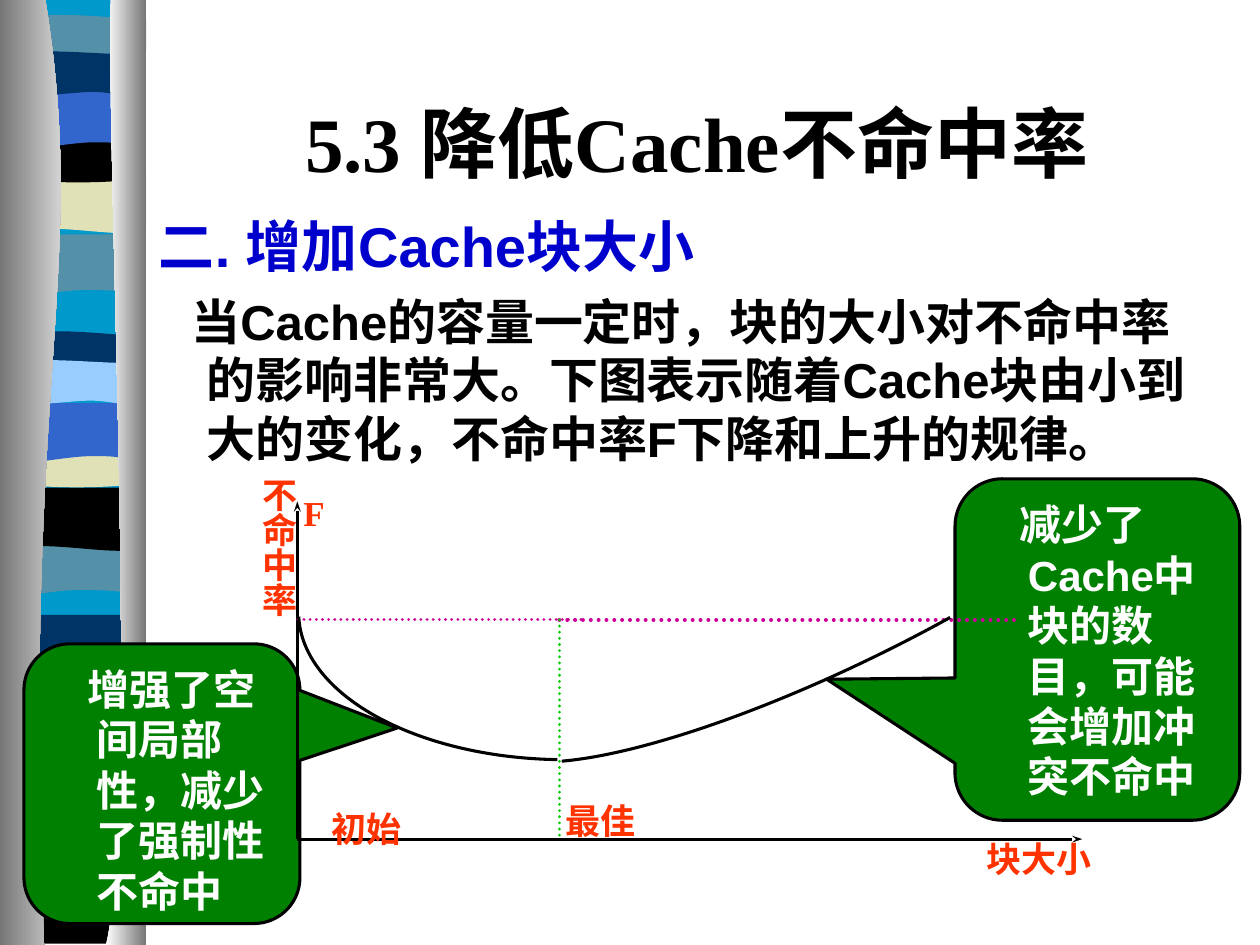
from dataclasses import dataclass
from typing import Optional

from lxml.etree import SubElement
from pptx import Presentation
from pptx.dml.color import RGBColor
from pptx.enum.dml import MSO_LINE
from pptx.enum.shapes import MSO_CONNECTOR, MSO_SHAPE
from pptx.enum.text import MSO_ANCHOR, MSO_AUTO_SIZE, PP_ALIGN
from pptx.oxml.ns import qn
from pptx.util import Inches, Pt

DEGREE = .6  # one degree, in the unit of shape adjustments
BLACK, GREEN, ORANGE, MAGENTA = "000000", "008000", "FF3300", "CC0099"
TEAL, SAND, BLUE, NAVY, SKY = "5490A8", "E1E1B7", "3366CC", "003366", "99CCFF"

# Outlines in inches: pairs are line points, sixes are cubic curves.
DIP = [(1, 0), (1, .47), (.31, .38, .17, .54, 0, .47), (0, 0)]
SWELL = [(1, 0), (1, .48), (.83, .55, .3, .42, 0, .48), (0, 0)]
BELT = [(1, .05), (1, .29), (.83, .33, .16, .33, 0, .29), (0, .05),
        (.06, 0, .21, .01, .38, .01), (.55, .01, .86, .04, 1, .05)]
SAG = [(1, 0), (1, .33), (.83, .38, .17, .38, 0, .33), (0, 0),
       (.61, .05, .79, 0, 1, 0)]
FOOT = [(1, 0), (1, .37), (0, .37), (0, 0), (.61, .05, .79, 0, 1, 0)]
ARCH = [(1, 0), (1, .48), (.85, .42, .78, .42, .62, .42),
        (.45, .42, .16, .48, 0, .48), (0, 0)]
DRIFT = [(.99, 0), (.99, .3), (.93, .36, .77, .3, .61, .3),
         (.44, .3, .1, .36, 0, .3), (0, 0), (.14, -.05, .67, 0, .84, 0),
         (1, 0, .96, 0, .99, 0)]
BACKDROP = [(.99, 0), (.99, 7.47), (0, 7.47), (0, 0)]
LEFT_EDGE = [(.36, 0), (.71, 2.16, .17, 2.96, .35, 7.5), (0, 7.5), (0, 0)]
RIGHT_EDGE = [(.88, 0), (.84, 1.25, 1.11, 6.46, .84, 7.5), (1.16, 7.5), (1.16, 0)]


@dataclass
class Band:
    outline: list
    left: float
    top: float
    color: str


@dataclass
class Curve:
    box: tuple
    rotation: float
    start: float
    end: float


@dataclass
class Stroke:
    start: tuple
    end: tuple
    color: str
    width: float = 1.75
    arrow: bool = False


@dataclass
class Label:
    text: str
    box: tuple
    spacing: Optional[float] = None
    vertical: bool = False


@dataclass
class Callout:
    text: str
    box: tuple
    tip: tuple


BANDS = [
    Band(BACKDROP, .13, 0, "0099CC"),
    Band(DIP, .12, 1.86, TEAL), Band(SWELL, .16, 1.35, SAND),
    Band(BELT, .16, .11, TEAL), Band(SAG, .12, 1.08, BLACK),
    Band(ARCH, .12, .71, BLUE), Band(DRIFT, .13, .43, NAVY),
    Band(DIP, .08, 4.24, TEAL), Band(SWELL, .11, 3.87, BLACK),
    Band(BELT, .11, 2.62, NAVY), Band(SAG, .11, 3.5, SAND),
    Band(ARCH, .11, 3.2, BLUE), Band(DRIFT, .11, 2.88, SKY),
    Band(DIP, .05, 5.36, SKY), Band(SWELL, .09, 4.88, NAVY),
    Band(BELT, .08, 6.09, SAND), Band(FOOT, .08, 7.12, BLACK),
    Band(ARCH, .04, 6.74, BLUE), Band(DRIFT, .04, 6.42, NAVY),
]
CALLOUTS = [
    Callout("增强了空间局部性，减少了强制性不命中", (.19, 5.11, 2.19, 2.22), (.853, -.199)),
    Callout("减少了Cache中块的数目，可能会增加冲突不命中", (7.58, 3.8, 2.26, 2.71), (-.951, .087)),
]
STROKES = [
    Stroke((2.36, 6.66), (2.36, 3.98), BLACK, arrow=True),
    Stroke((2.36, 6.66), (8.59, 6.66), BLACK, arrow=True),
    Stroke((4.61, 4.92), (2.36, 4.92), MAGENTA),
    Stroke((4.44, 4.92), (8.07, 4.92), MAGENTA, 2.25),
    Stroke((4.44, 4.92), (4.44, 6.66), "00CC00"),
]
LABELS = [
    Label("最佳", (4.39, 6.13, 1.25, .67), 1.5),
    Label("初始", (2.53, 6.19, 1.08, .54), 1.5),
    Label("块大小", (7.73, 6.6, 1.26, .54)),
    Label("不命中率", (1.65, 3.65, .78, 1.4), vertical=True),
    Label("F", (2.31, 3.85, .78, .6)),
]
CURVES = [
    Curve((3.32, 2.75, 2.33, 4.23), 90, 3, 89.2),
    Curve((3.59, 3.82, 6.17, 1.44), 153.8, 228.8, 352.1),
]


def rgb(color: str) -> RGBColor:
    return RGBColor.from_string(color)


def place(shape, box: tuple) -> None:
    shape.left, shape.top, shape.width, shape.height = map(Inches, box)


def add_run(paragraph, text: str, size: float, font: str, color: str) -> None:
    run = paragraph.add_run()
    run.text = text
    run.font.size, run.font.name, run.font.bold = Pt(size), font, True
    run.font.color.rgb = rgb(color)


def set_indent(paragraph, first: float, left: float = .38) -> None:
    properties = paragraph._p.get_or_add_pPr()
    properties.set("marL", str(Inches(left)))
    properties.set("indent", str(Inches(first)))
    properties.set("hangingPunct", "0")
    SubElement(properties, qn("a:buNone"))


def add_outline(shapes, outline: list, left: float = 0, top: float = 0):
    """Draw through all points, then join each curve's three lines into a Bézier."""
    points = [(Inches(left + part[i]), Inches(top + part[i + 1]))
              for part in outline for i in range(0, len(part), 2)]
    builder = shapes.build_freeform(*points[0])
    builder.add_line_segments(points[1:], close=True)
    shape = builder.convert_to_shape()
    lines = iter(shape._element.findall(".//" + qn("a:lnTo")))
    for part in outline[1:]:
        line = next(lines)
        if len(part) == 6:
            line.tag = qn("a:cubicBezTo")
            for extra in (next(lines), next(lines)):
                line.append(extra[0])
                extra.getparent().remove(extra)
    shape.shadow.inherit = False
    shape.line.fill.background()
    return shape


def add_band(shapes, band: Band) -> None:
    shape = add_outline(shapes, band.outline, band.left, band.top)
    shape.fill.solid()
    shape.fill.fore_color.rgb = rgb(band.color)


def add_edge(shapes, outline: list, colors: tuple) -> None:
    fill = add_outline(shapes, outline).fill
    fill.gradient()
    fill.gradient_angle = 0
    for stop, color in zip(fill.gradient_stops, colors):
        stop.color.rgb = rgb(color)


def add_curve(shapes, curve: Curve) -> None:
    shape = shapes.add_shape(MSO_SHAPE.ARC, *map(Inches, curve.box))
    shape.rotation = curve.rotation
    shape.adjustments[0] = curve.start * DEGREE
    shape.adjustments[1] = curve.end * DEGREE
    shape.shadow.inherit = False
    shape.fill.background()
    shape.line.color.rgb, shape.line.width = rgb(BLACK), Pt(1.75)


def add_stroke(shapes, stroke: Stroke) -> None:
    line = shapes.add_connector(MSO_CONNECTOR.STRAIGHT,
                                *map(Inches, stroke.start + stroke.end))
    line.line.color.rgb, line.line.width = rgb(stroke.color), Pt(stroke.width)
    outline = line.line._get_or_add_ln()
    if stroke.arrow:
        SubElement(outline, qn("a:tailEnd"), type="stealth", w="sm")
    else:
        line.line.dash_style = MSO_LINE.ROUND_DOT
        outline.set("cap", "rnd")
    SubElement(line._element.spPr, qn("a:effectLst"))


def add_callout(shapes, callout: Callout) -> None:
    shape = shapes.add_shape(MSO_SHAPE.ROUNDED_RECTANGULAR_CALLOUT, *map(Inches, callout.box))
    shape.adjustments[0], shape.adjustments[1] = callout.tip
    shape.shadow.inherit = False
    shape.fill.solid()
    shape.fill.fore_color.rgb = rgb(GREEN)
    shape.line.color.rgb, shape.line.width = rgb(BLACK), Pt(1.75)
    frame = shape.text_frame
    frame.word_wrap, frame.vertical_anchor = True, MSO_ANCHOR.TOP
    paragraph = frame.paragraphs[0]
    set_indent(paragraph, -.07, .37)
    paragraph.alignment = PP_ALIGN.LEFT
    add_run(paragraph, callout.text, 24, "Arial", "FFFFFF")


def add_label(shapes, label: Label) -> None:
    frame = shapes.add_textbox(*map(Inches, label.box)).text_frame
    frame.word_wrap = True
    if label.vertical:
        frame._txBody.bodyPr.set("vert", "eaVert")
        frame.margin_left = frame.margin_right = Inches(.05)
        frame.margin_top, frame.margin_bottom = Inches(.14), Inches(.1)
    paragraph = frame.paragraphs[0]
    paragraph.alignment = PP_ALIGN.JUSTIFY
    if label.spacing:
        paragraph.line_spacing = label.spacing
    add_run(paragraph, label.text, 20, "Times New Roman", ORANGE)


def fill_placeholders(slide) -> None:
    title, body = slide.shapes.title, slide.placeholders[1]
    place(title, (1.28, .5, 8.5, 1.25))
    title.text_frame.vertical_anchor = MSO_ANCHOR.MIDDLE
    heading = title.text_frame.paragraphs[0]
    heading.alignment = PP_ALIGN.CENTER
    add_run(heading, "5.3 降低Cache不命中率", 44, "Times New Roman", BLACK)

    place(body, (1.16, 1.63, 8.49, 2.9))
    frame = body.text_frame
    frame.auto_size = MSO_AUTO_SIZE.NONE
    topic, explanation = frame.paragraphs[0], frame.add_paragraph()
    set_indent(topic, -.38)
    topic.space_before = Pt(0)
    add_run(topic, "二. 增加Cache块大小", 32, "Arial", "0000CC")
    set_indent(explanation, -.12)
    explanation.space_before = Pt(7)
    add_run(explanation, "当Cache的容量一定时，块的大小对不命中率的影响非常大。下图表示随着Cache块由小到大的变化，"
            "不命中率F下降和上升的规律。", 28, "Arial", BLACK)


def main() -> None:
    deck = Presentation()
    deck.slide_width, deck.slide_height = Inches(10), Inches(7.5)
    slide = deck.slides.add_slide(deck.slide_layouts[1])
    shapes = slide.shapes
    fill_placeholders(slide)
    for band in BANDS:
        add_band(shapes, band)
    add_edge(shapes, LEFT_EDGE, ("767676", "FFFFFF"))
    add_edge(shapes, RIGHT_EDGE, ("FFFFFF", "767676"))
    for callout in CALLOUTS:
        add_callout(shapes, callout)
    for stroke in STROKES:
        add_stroke(shapes, stroke)
    for label in LABELS:
        add_label(shapes, label)
    for curve in CURVES:
        add_curve(shapes, curve)
    deck.save("out.pptx")


if __name__ == "__main__":
    main()
